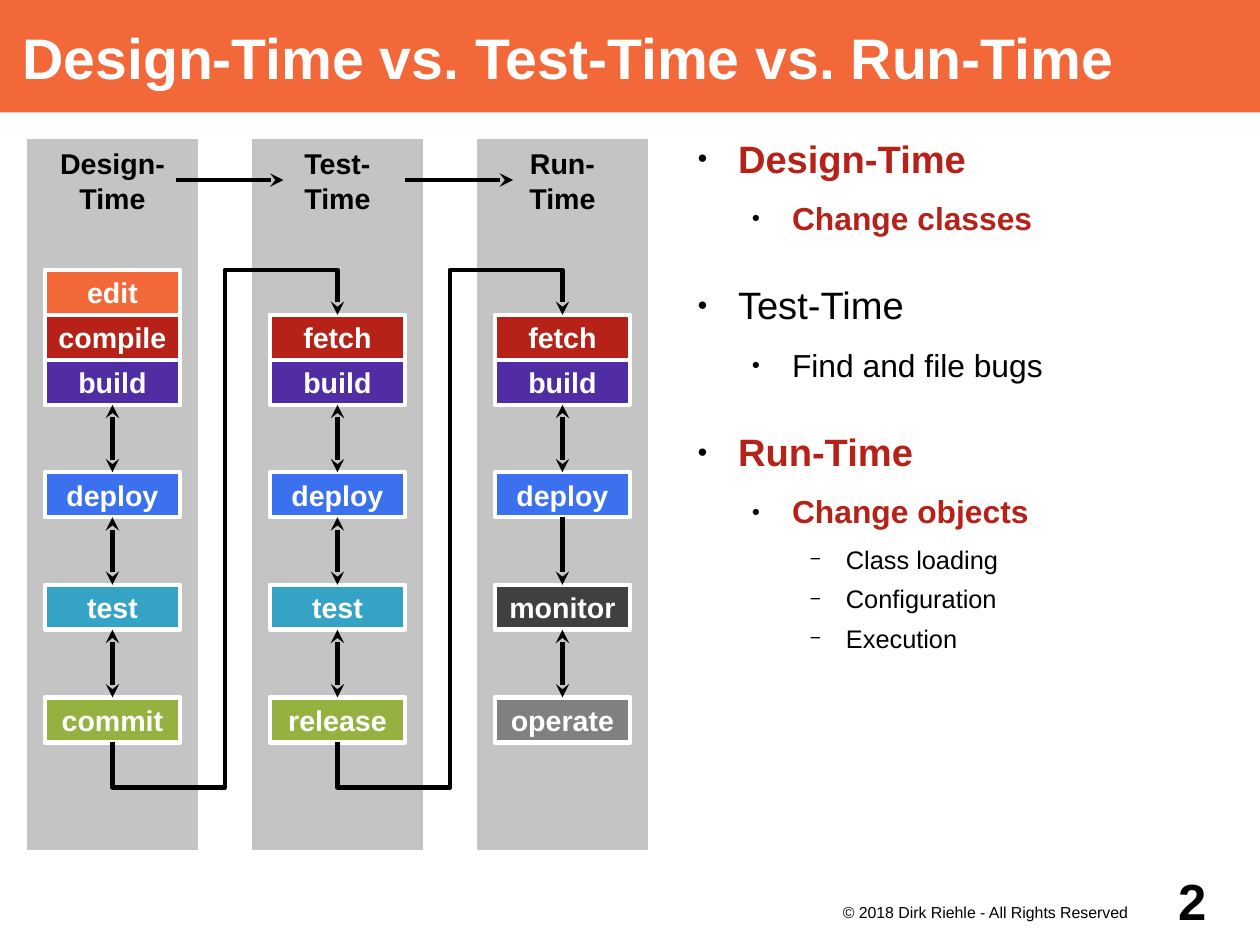
import pptx
import pptx.util
import pptx.dml.color
import pptx.enum.shapes
import pptx.enum.text
from lxml import etree
from pptx.oxml.ns import qn

Pt = pptx.util.Pt
RGB = pptx.dml.color.RGBColor.from_string
ALIGN = pptx.enum.text.PP_ALIGN
ANCHOR = pptx.enum.text.MSO_ANCHOR
RECTANGLE = pptx.enum.shapes.MSO_SHAPE.RECTANGLE
STRAIGHT = pptx.enum.shapes.MSO_CONNECTOR.STRAIGHT

COLORS = {
    "black": "000000", "white": "FFFFFF", "lane": "C4C4C4",
    "orange": "F36838", "red": "B62118", "purple": "502DA2",
    "blue": "3B70EE", "teal": "34A3C5", "green": "95B241",
    "dark": "404040", "gray": "808080",
}


def write(shape, lines, size, color, bold, align, anchor, insets, wrap=True):
    frame = shape.text_frame
    frame.word_wrap = wrap
    frame.auto_size = pptx.enum.text.MSO_AUTO_SIZE.NONE
    frame.vertical_anchor = anchor
    frame.margin_left, frame.margin_top, frame.margin_right, frame.margin_bottom = map(Pt, insets)
    frame.text = "\n".join(lines)
    for paragraph in frame.paragraphs:
        paragraph.alignment = align
        paragraph.font.name = "Arial"
        paragraph.font.size = Pt(size)
        paragraph.font.bold = bold
        paragraph.font.color.rgb = RGB(COLORS[color])


def style_arrow(arrow, both_ends=False):
    arrow.line.color.rgb = RGB(COLORS["black"])
    arrow.line.width = Pt(2.83)
    properties = arrow.line._get_or_add_ln()
    for end in ["headEnd", "tailEnd"] if both_ends else ["tailEnd"]:
        etree.SubElement(properties, qn(f"a:{end}"), type="stealth")
    if arrow.shape_type == pptx.enum.shapes.MSO_SHAPE_TYPE.FREEFORM:
        arrow.fill.background()
        arrow.shadow.inherit = False
    else:
        etree.SubElement(arrow._element.spPr, qn("a:effectLst"))


SLIDE_WIDTH, SLIDE_HEIGHT = 793.7, 595.28
presentation = pptx.Presentation()
presentation.slide_width = Pt(SLIDE_WIDTH)
presentation.slide_height = Pt(SLIDE_HEIGHT)
slide = presentation.slides.add_slide(presentation.slide_layouts[1])
shapes = slide.shapes

title = shapes.title
title.left, title.top, title.width, title.height = Pt(0), Pt(0), Pt(SLIDE_WIDTH), Pt(70.87)
title.fill.solid()
title.fill.fore_color.rgb = RGB(COLORS["orange"])
write(title, ["Design-Time vs. Test-Time vs. Run-Time"], 36, "white", True,
      ALIGN.LEFT, ANCHOR.MIDDLE, (14.17, 0, 0, 0))

OUTLINE = [
    (0, "Design-Time", True, 0),
    (1, "Change classes", True, 0),
    (0, "Test-Time", False, 19.8),
    (1, "Find and file bugs", False, 0),
    (0, "Run-Time", True, 19.8),
    (1, "Change objects", True, 0),
    (2, "Class loading", False, 0),
    (2, "Configuration", False, 0),
    (2, "Execution", False, 0),
]
LEVELS = [
    (24, 11.3, 34.02, -25.51, "●", 45),
    (20, 8.5, 68.03, -25.51, "●", 45),
    (16, 5.7, 102.05, -22.68, "−", 75),
]
outline = slide.placeholders[1]
outline.left, outline.top, outline.width, outline.height = Pt(430.87), Pt(85.04), Pt(348.66), Pt(496.06)
outline_frame = outline.text_frame
outline_frame.text = "\n".join(entry[1] for entry in OUTLINE)
outline_frame.auto_size = pptx.enum.text.MSO_AUTO_SIZE.NONE
outline_frame.word_wrap = True
outline_frame.margin_left = outline_frame.margin_top = Pt(0)
outline_frame.margin_right = outline_frame.margin_bottom = Pt(0)
for point, (level, _, emphasized, gap) in zip(outline_frame.paragraphs, OUTLINE):
    size, space_after, margin, indent, bullet, bullet_size = LEVELS[level]
    point.level = level
    point.space_before = Pt(gap)
    point.space_after = Pt(space_after)
    properties = point._p.get_or_add_pPr()
    properties.set("marL", str(Pt(margin)))
    properties.set("indent", str(Pt(indent)))
    bullet_color = etree.SubElement(properties, qn("a:buClr"))
    etree.SubElement(bullet_color, qn("a:srgbClr"), val=COLORS["black"])
    etree.SubElement(properties, qn("a:buSzPct"), val=str(bullet_size * 1000))
    etree.SubElement(properties, qn("a:buFont"), typeface="Arial")
    etree.SubElement(properties, qn("a:buChar"), char=bullet)
    point.font.name = "Arial"
    point.font.size = Pt(size)
    point.font.bold = emphasized
    point.font.color.rgb = RGB(COLORS["red" if emphasized else "black"])

LANE_LEFT, LANE_TOP, LANE_WIDTH, LANE_HEIGHT = 14.17, 84.9, 113.39, 453.54
LANE_PITCH = 141.73
STEP_WIDTH, STEP_HEIGHT = 85.04, 28.35
STEP_TOPS = [170, 198.35, 226.7, 297.5, 368.4, 439.3]
STACK_END = 2
LANES = [
    ("Design-", [("edit", "orange"), ("compile", "red"), ("build", "purple"),
                 ("deploy", "blue"), ("test", "teal"), ("commit", "green")]),
    ("Test-", [None, ("fetch", "red"), ("build", "purple"),
               ("deploy", "blue"), ("test", "teal"), ("release", "green")]),
    ("Run-", [None, ("fetch", "red"), ("build", "purple"),
              ("deploy", "blue"), ("monitor", "dark"), ("operate", "gray")]),
]
for lane_index, (phase, steps) in enumerate(LANES):
    lane_left = LANE_LEFT + lane_index * LANE_PITCH
    lane = shapes.add_shape(RECTANGLE, Pt(lane_left), Pt(LANE_TOP), Pt(LANE_WIDTH), Pt(LANE_HEIGHT))
    lane.shadow.inherit = False
    lane.fill.solid()
    lane.fill.fore_color.rgb = RGB(COLORS["lane"])
    lane.line.color.rgb = RGB(COLORS["white"])
    lane.line.width = Pt(5.67)
    write(lane, [phase, "Time"], 18, "black", True, ALIGN.CENTER, ANCHOR.TOP, [7.2] * 4, False)

    step_left = lane_left + (LANE_WIDTH - STEP_WIDTH) / 2
    previous_step = None
    for row, (entry, step_top) in enumerate(zip(steps, STEP_TOPS)):
        if entry is None:
            continue
        label, color = entry
        step = shapes.add_shape(RECTANGLE, Pt(step_left), Pt(step_top), Pt(STEP_WIDTH), Pt(STEP_HEIGHT))
        step.shadow.inherit = False
        step.fill.solid()
        step.fill.fore_color.rgb = RGB(COLORS[color])
        step.line.color.rgb = RGB(COLORS["white"])
        step.line.width = Pt(2.83)
        write(step, [label], 18, "white", True, ALIGN.CENTER, ANCHOR.MIDDLE, [5.76] * 4, False)
        if row > STACK_END:
            link = shapes.add_connector(STRAIGHT, Pt(0), Pt(0), Pt(0), Pt(0))
            link.begin_connect(previous_step, 2)
            link.end_connect(step, 0)
            style_arrow(link, both_ends=label != "monitor")
        previous_step = step

for lane_index in range(len(LANES) - 1):
    start_x = LANE_LEFT + LANE_WIDTH / 2 + lane_index * LANE_PITCH
    middle_x = start_x + LANE_PITCH / 2
    end_x = start_x + LANE_PITCH
    start_y, turn_y = STEP_TOPS[-1] + STEP_HEIGHT, STEP_TOPS[-1] + 2 * STEP_HEIGHT
    handover_builder = shapes.build_freeform(Pt(start_x), Pt(start_y))
    corners = [(start_x, turn_y), (middle_x, turn_y), (middle_x, STEP_TOPS[0]),
               (end_x, STEP_TOPS[0]), (end_x, STEP_TOPS[1])]
    handover_builder.add_line_segments([(Pt(x), Pt(y)) for x, y in corners], close=False)
    style_arrow(handover_builder.convert_to_shape())

for phase_start, phase_end in [(110.6, 178.6), (255.1, 323.2)]:
    style_arrow(shapes.add_connector(STRAIGHT, Pt(phase_start), Pt(113.39), Pt(phase_end), Pt(113.39)))

copyright_line = shapes.add_textbox(Pt(510.24), Pt(566.93), Pt(226.77), Pt(28.35))
write(copyright_line, ["© 2018 Dirk Riehle - All Rights Reserved"], 10, "black", False,
      ALIGN.RIGHT, ANCHOR.TOP, (0, 1.44, 26.6, 0))
page_number = shapes.add_textbox(Pt(722.83), Pt(538.58), Pt(70.87), Pt(56.69))
write(page_number, ["2"], 32, "black", True, ALIGN.RIGHT, ANCHOR.MIDDLE, (0, 0, 33.7, 0))

presentation.save("out.pptx")
